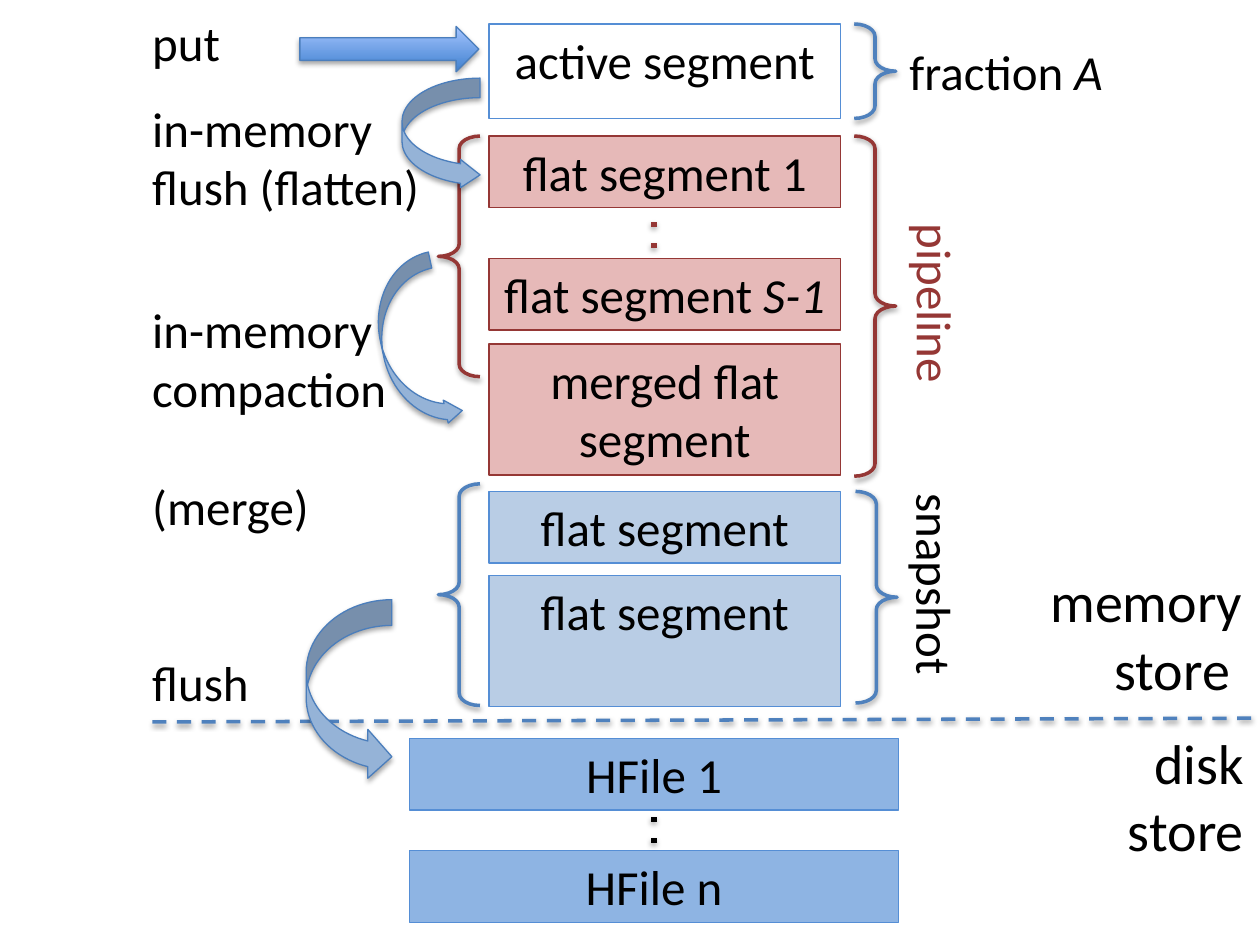
from pptx import Presentation
from pptx.dml.color import RGBColor
from pptx.enum.shapes import MSO_CONNECTOR, MSO_SHAPE
from pptx.enum.text import MSO_ANCHOR, MSO_AUTO_SIZE, PP_ALIGN
from pptx.oxml import parse_xml
from pptx.oxml.ns import nsdecls, qn
from pptx.util import Inches, Pt
from lxml.etree import SubElement

COLORS = {
    "black": "000000", "blue": "4F81BD", "red": "953735",
    "edge": "558ED5", "arrow_edge": "4B7EBC", "arrow": "95B3D7",
    "arrow_dark": "3F80CE", "arrow_light": "A4C4FF",
    "pink": "E6B9B8", "snapshot": "B9CDE5", "file": "8EB4E3",
}


def color(name):
    return RGBColor.from_string(COLORS[name])


class SegmentSlide:
    """Draws the styled elements of the segment diagram on one slide."""

    def __init__(self, slide, font="Calibri", size=28):
        self.shapes = slide.shapes
        self.font = font
        self.size = size

    def set_text(self, shape, lines, align=PP_ALIGN.LEFT, ink="black", size=None, italic="", wrap=True):
        frame = shape.text_frame
        frame.text = "\n".join(lines)
        frame.word_wrap = wrap
        frame.auto_size = MSO_AUTO_SIZE.SHAPE_TO_FIT_TEXT
        frame.vertical_anchor = MSO_ANCHOR.TOP
        if italic:
            run = frame.paragraphs[-1].add_run()
            run.text = italic
            run.font.italic = True
        for paragraph in frame.paragraphs:
            paragraph.alignment = align
            for run in paragraph.runs:
                run.font.name = self.font
                run.font.size = Pt(size or self.size)
                run.font.color.rgb = color(ink)

    def shadow(self, shape, opacity, distance):
        properties = shape._element.spPr
        for effects in properties.findall(qn("a:effectLst")):
            properties.remove(effects)
        properties.append(parse_xml(
            f'<a:effectLst {nsdecls("a")}><a:outerShdw blurRad="{Pt(3.1)}" dist="{Pt(distance)}" '
            f'dir="5400000" rotWithShape="0"><a:srgbClr val="{COLORS["black"]}">'
            f'<a:alpha val="{opacity * 1000}"/></a:srgbClr></a:outerShdw></a:effectLst>'))

    def shape(self, kind, box, fill, line, width=0.75):
        shape = self.shapes.add_shape(kind, *map(Inches, box))
        shape.shadow.inherit = False
        if fill:
            shape.fill.solid()
            shape.fill.fore_color.rgb = color(fill)
        else:
            shape.fill.background()
        shape.line.color.rgb = color(line)
        shape.line.width = Pt(width)
        return shape

    def segment(self, box, text, fill, line="edge", italic=""):
        shape = self.shape(MSO_SHAPE.RECTANGLE, box, fill, line)
        self.set_text(shape, [text], PP_ALIGN.CENTER, italic=italic)

    def label(self, box, *lines, rotation=0, **style):
        shape = self.shapes.add_textbox(*map(Inches, box))
        shape.rotation = rotation
        self.set_text(shape, lines, **style)
        return shape

    def brace(self, box, line, flip=False):
        shape = self.shape(MSO_SHAPE.RIGHT_BRACE, box, None, line, 2)
        shape.adjustments[0] = 0.3
        if flip:
            shape._element.spPr.find(qn("a:xfrm")).set("flipH", "1")
        self.shadow(shape, 38, 1.6)

    def curved_arrow(self, box, adjustments=(0.25, 0.36, 0.25), rotation=0):
        shape = self.shape(MSO_SHAPE.CURVED_RIGHT_ARROW, box, "arrow", "arrow_edge")
        for index, value in enumerate(adjustments):
            shape.adjustments[index] = value
        shape.rotation = rotation
        self.shadow(shape, 35, 1.8)

    def straight_arrow(self, box):
        shape = self.shape(MSO_SHAPE.RIGHT_ARROW, box, "arrow", "arrow_edge")
        shape.fill.gradient()
        shape.fill.gradient_angle = 90
        for stop, name in zip(shape.fill.gradient_stops, ("arrow_dark", "arrow_light")):
            stop.color.rgb = color(name)
        self.shadow(shape, 35, 1.8)

    def line(self, points, ink, width, dash):
        connector = self.shapes.add_connector(MSO_CONNECTOR.STRAIGHT, *map(Inches, points))
        connector.line.color.rgb = color(ink)
        connector.line.width = Pt(width)
        outline = connector._element.spPr.find(qn("a:ln"))
        SubElement(outline, qn("a:prstDash")).set("val", dash)
        self.shadow(connector, 38, 1.6)


presentation = Presentation()
presentation.slide_width = Inches(10)
presentation.slide_height = Inches(7.5)
diagram = SegmentSlide(presentation.slides.add_slide(presentation.slide_layouts[6]))

LEFT, WIDTH, ROW, TALL = 3.88, 2.79, 0.57, 1.04
LABEL_LEFT = 1.11

diagram.line((9.93, 5.7, 1.2, 5.73), "blue", 2, "dash")
for box, text in (((8.17, 4.45, 1.79, 1.18), "memory store "),
                  ((8.74, 5.73, 1.23, 1.18), "disk store")):
    diagram.label(box, text, align=PP_ALIGN.RIGHT, size=32)

diagram.segment((LEFT, 0.19, WIDTH, 0.75), "active segment", None)
for top, text in ((5.86, "HFile 1"), (6.75, "HFile n")):
    diagram.segment((3.25, top, 3.88, ROW), text, "file")
for top, height, text, italic in ((1.08, ROW, "flat segment 1", ""),
                                  (2.05, ROW, "flat segment ", "S-1"),
                                  (2.73, TALL, "merged flat segment", "")):
    diagram.segment((LEFT, top, WIDTH, height), text, "pink", "red", italic)
for top, height in ((4.57, TALL), (3.9, ROW)):
    diagram.segment((LEFT, top, WIDTH, height), "flat segment", "snapshot")

for bottom, top, ink in ((6.69, 6.37, "black"), (1.97, 1.69, "red")):
    diagram.line((5.19, bottom, 5.19, top), ink, 3, "dot")

diagram.label((LABEL_LEFT, 0.05, 0.75, ROW), "put", wrap=False)
diagram.label((LABEL_LEFT, 0.73, 2.35, TALL), "in-memory", "flush (flatten)", wrap=False)
compaction = diagram.label((LABEL_LEFT, 2.33, 2.08, 1.51),
                           "in-memory", "compaction", "(merge)", wrap=False)
compaction.text_frame.paragraphs[-1].space_before = Pt(34)
diagram.label((LABEL_LEFT, 5.13, 0.98, ROW), "flush", wrap=False)
diagram.label((7.12, 0.28, 1.84, ROW), "fraction ", italic="A", wrap=False)
diagram.label((6.67, 2.15, 1.52, ROW), "pipeline", rotation=90, ink="red", wrap=False)
diagram.label((6.5, 4.46, 1.85, ROW), "snapshot", rotation=90)

for left, top, height, ink, flip in ((6.78, 0.19, 0.75, "blue", False),
                                     (6.78, 1.08, 2.7, "red", False),
                                     (6.79, 3.9, 1.68, "blue", False),
                                     (3.48, 1.08, 1.91, "red", True),
                                     (3.48, 3.84, 1.76, "blue", True)):
    diagram.brace((left, top, 0.33, height), ink, flip)

diagram.straight_arrow((2.38, 0.21, 1.42, 0.36))
diagram.curved_arrow((2.43, 4.76, 0.68, 1.44), (0.3, 0.57, 0.28))
diagram.curved_arrow((3.03, 2.04, 0.52, 1.38), rotation=347.9)
diagram.curved_arrow((3.19, 0.62, 0.62, 0.88))

presentation.save("out.pptx")
